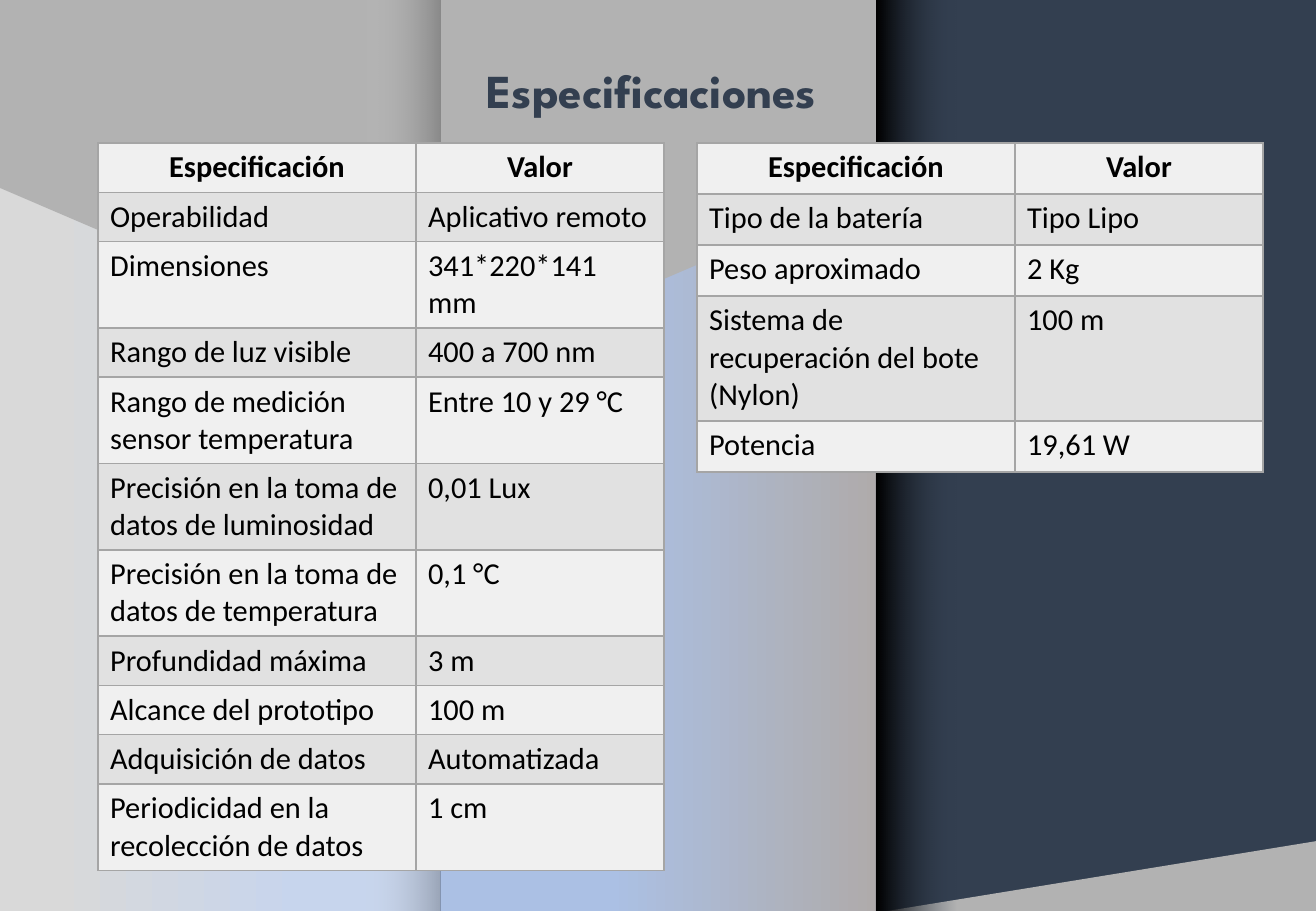
from lxml import etree
from pptx import Presentation
from pptx import util as u
from pptx.dml.color import RGBColor
from pptx.enum import shapes, text
from pptx.oxml.ns import qn

SCALE = 7526
WIDE, HIGH = 1316, 911
LINE = 37
COLS = (318, 248)
HEX = {
    "navy": "333F50", "grey": "B2B2B2", "pale": "D9D9D9", "sky": "C7D5ED",
    "blue": "ABC0E4", "warm": "AFABAB", "white": "FFFFFF", "black": "000000",
    "light": "F0F0F0", "dark": "E1E1E1", "rule": "A5A5A5",
}
HEAD = ("Especificación", "Valor", 1)
BOAT = [
    HEAD,
    ("Operabilidad", "Aplicativo remoto", 1),
    ("Dimensiones", "341*220*141 mm", 2),
    ("Rango de luz visible", "400 a 700 nm", 1),
    ("Rango de medición sensor temperatura", "Entre 10 y 29 °C", 2),
    ("Precisión en la toma de datos de luminosidad", "0,01 Lux", 2),
    ("Precisión en la toma de datos de temperatura", "0,1 °C", 2),
    ("Profundidad máxima", "3 m", 1),
    ("Alcance del prototipo", "100 m", 1),
    ("Adquisición de datos", "Automatizada", 1),
    ("Periodicidad en la recolección de datos", "1 cm", 2),
]
POWER = [
    HEAD,
    ("Tipo de la batería", "Tipo Lipo", 1),
    ("Peso aproximado", "2 Kg", 1),
    ("Sistema de recuperación del bote (Nylon)", "100 m", 3),
    ("Potencia", "19,61 W", 1),
]


def px(num):
    return u.Emu(num * SCALE)


def color(name):
    return RGBColor.from_string(HEX[name])


def apply(item, form):
    for key, val in form.items():
        setattr(item, key, val)


class Deck:
    cell = {"name": "Calibri", "size": u.Pt(18)}
    title = {"name": "League Spartan", "size": u.Pt(28), "bold": True}

    def __init__(self):
        self.show = Presentation()
        apply(self.show, {"slide_width": px(WIDE), "slide_height": px(HIGH)})
        self.slide = self.show.slides.add_slide(self.show.slide_layouts[5])

    def shape(self, kind, box, fill, turn=0):
        item = self.slide.shapes.add_shape(kind, *map(px, box))
        item.rotation = turn
        item.shadow.inherit = False
        item.line.fill.background()
        if fill:
            item.fill.solid()
            item.fill.fore_color.rgb = color(fill)
        return item

    def fade(self, box, stops, angle=0):
        item = self.shape(shapes.MSO_SHAPE.RECTANGLE, box, None)
        item.fill.gradient()
        item.fill.gradient_angle = angle
        for stop, (spot, name, _) in zip(item.fill.gradient_stops, stops):
            stop.position = spot / 100
            stop.color.rgb = color(name)
        tones = item.element.spPr.iter(qn("a:srgbClr"))
        for tone, (_, _, alpha) in zip(tones, stops):
            if alpha < 100:
                etree.SubElement(tone, qn("a:alpha"), val=str(alpha * 1000))

    def border(self, cell):
        props = cell._tc.get_or_add_tcPr()
        for spot, side in enumerate(("lnL", "lnR", "lnT", "lnB")):
            edge = etree.Element(qn("a:" + side), w=str(u.Pt(1)))
            fill = etree.SubElement(edge, qn("a:solidFill"))
            etree.SubElement(fill, qn("a:srgbClr"), val=HEX["rule"])
            props.insert(spot, edge)

    def table(self, left, top, base, data):
        tall = [base + LINE * (row[2] - 1) for row in data]
        box = map(px, (left, top, sum(COLS), sum(tall)))
        grid = self.slide.shapes.add_table(len(data), len(COLS), *box).table
        for col, wide in zip(grid.columns, COLS):
            col.width = px(wide)
        for num, (row, high) in enumerate(zip(grid.rows, tall)):
            row.height = px(high)
            for cell, words in zip(row.cells, data[num]):
                cell.text = words
                cell.fill.solid()
                cell.fill.fore_color.rgb = color("dark" if num % 2 else "light")
                self.border(cell)
                para = cell.text_frame.paragraphs[0]
                if num == 0:
                    para.alignment = text.PP_ALIGN.CENTER
                font = para.runs[0].font
                apply(font, {**self.cell, "bold": num == 0})
                font.color.rgb = color("black")

    def head(self, words, box):
        item = self.slide.shapes.title
        apply(item, dict(zip(("left", "top", "width", "height"), map(px, box))))
        frame = item.text_frame
        frame.text = words
        apply(frame, {"word_wrap": True,
                      "vertical_anchor": text.MSO_ANCHOR.TOP,
                      "auto_size": text.MSO_AUTO_SIZE.SHAPE_TO_FIT_TEXT})
        para = frame.paragraphs[0]
        para.alignment = text.PP_ALIGN.CENTER
        font = para.runs[0].font
        apply(font, self.title)
        font.color.rgb = color("navy")
        self.slide.shapes.element.append(item.element)


def main():
    kind = shapes.MSO_SHAPE
    deck = Deck()
    deck.fade((0, 0, 440, HIGH), [(11, "pale", 100), (70, "sky", 100)])
    deck.fade((440, 0, 436, HIGH), [(39, "blue", 100), (100, "warm", 100)])
    deck.shape(kind.RECTANGLE, (876, 0, 440, HIGH), "navy")
    deck.shape(kind.PENTAGON, (250, -250, 376, 876), "grey", 90)
    deck.fade((361, 0, 80, HIGH), [(0, "white", 0), (100, "black", 23)])
    deck.shape(kind.RIGHT_TRIANGLE, (1060, 656, 72, 442), "grey", 270)
    deck.fade((877, 0, 80, HIGH), [(0, "navy", 0), (100, "black", 100)], 180)
    deck.table(98, 143, 49, BOAT)
    deck.table(697, 143, 51, POWER)
    deck.head("Especificaciones", (394, 55, 515, 69))
    deck.show.save("out.pptx")


if __name__ == "__main__":
    main()
